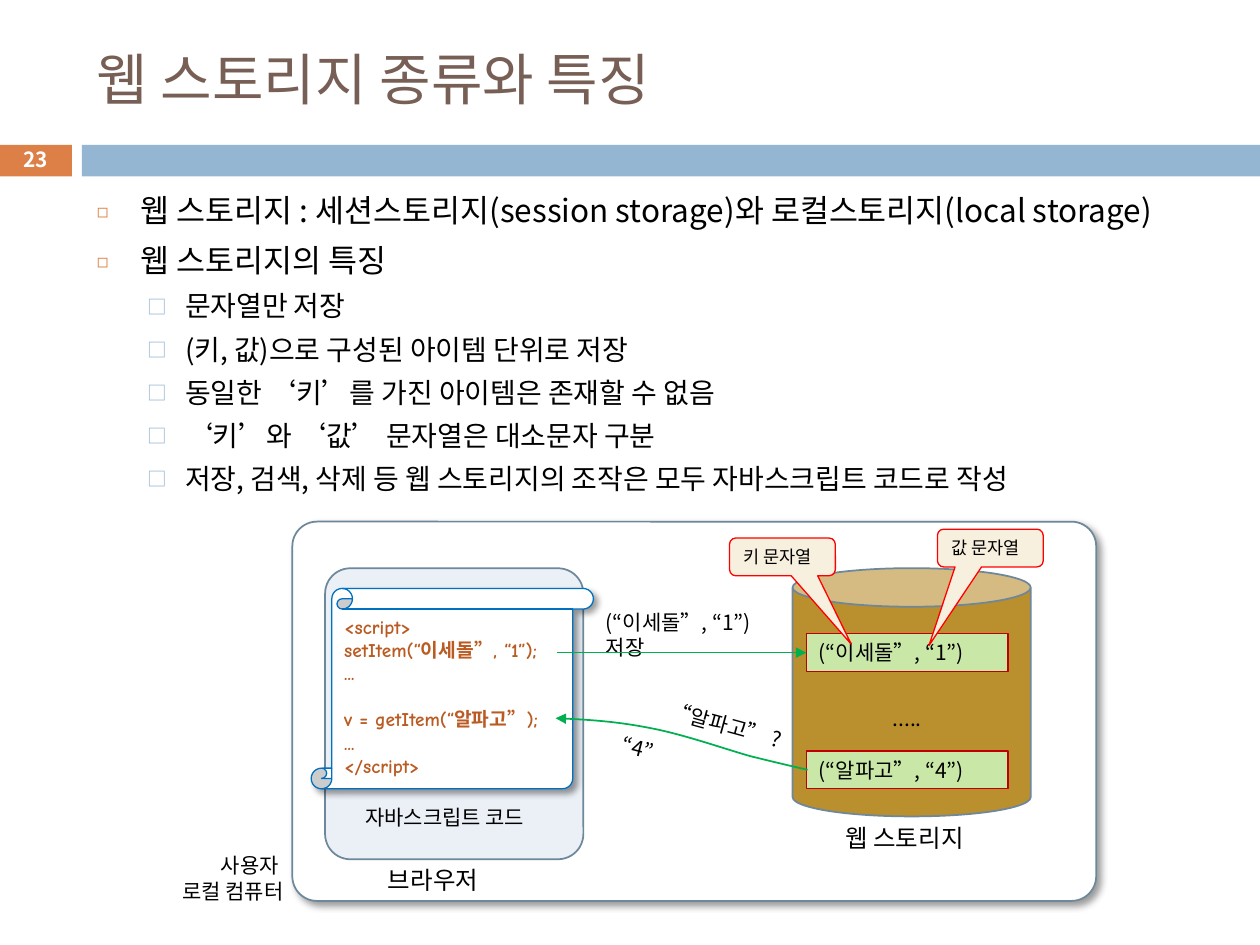
from lxml import etree
from pptx import Presentation
from pptx import util as u
from pptx.dml.color import RGBColor
from pptx.enum import shapes, text
from pptx.oxml.ns import qn

NOTO = "Noto Sans CJK KR"
COMIC = "Comic Neue"
BLACK, WHITE = "000000", "FFFFFF"
STEEL, GREEN = "6D879B", "00B050"
LINE_HEIGHT = 1.2
KIND = shapes.MSO_SHAPE
ALIGN = text.PP_ALIGN


def rgb(value):
    return RGBColor.from_string(value)


def sub(parent, tag, **attributes):
    return etree.SubElement(parent, qn(tag), attributes)


def place(box):
    return [u.Inches(value) for value in box]


# Text
def add_run(paragraph, content, size, color=BLACK, font=NOTO, bold=False):
    paragraph.line_spacing = u.Pt(size * LINE_HEIGHT)
    paragraph.font.size = u.Pt(size)
    if not content:
        return
    run = paragraph.add_run()
    run.text = content
    run.font.size = u.Pt(size)
    run.font.name = font
    run.font.bold = bold
    run.font.color.rgb = rgb(color)


def write(shape, lines, size, align=ALIGN.LEFT, wrap=True, middle=False, **style):
    frame = shape.text_frame
    frame.word_wrap = wrap
    anchor = text.MSO_ANCHOR
    frame.vertical_anchor = anchor.MIDDLE if middle else anchor.TOP
    for index, content in enumerate(lines):
        paragraph = frame.add_paragraph() if index else frame.paragraphs[0]
        paragraph.alignment = align
        add_run(paragraph, content, size, **style)


def add_label(slide, box, lines, size, rotation=0, **style):
    shape = slide.shapes.add_textbox(*place(box))
    shape.rotation = rotation
    write(shape, lines, size, **style)


def add_bullets(slide, box, items):
    # level: indent, hanging, space before, bullet, colour, bullet size, text size
    levels = [
        (0.35, 0.35, 7, "◻", "DD8047", "60000", 18),
        (0.7, 0.3, 5.5, "□", "94B6D2", "70000", 16),
    ]
    frame = slide.shapes.add_textbox(*place(box)).text_frame
    frame.word_wrap = True
    frame.margin_right = u.Inches(0.05)
    for index, (level, content) in enumerate(items):
        indent, hanging, before, bullet, color, scale, size = levels[level]
        paragraph = frame.add_paragraph() if index else frame.paragraphs[0]
        paragraph.level = level
        paragraph.space_before = u.Pt(before if index else 0)
        paragraph.line_spacing = u.Pt(size * LINE_HEIGHT)
        properties = paragraph._p.get_or_add_pPr()
        properties.set("marL", str(u.Inches(indent)))
        properties.set("indent", str(-u.Inches(hanging)))
        sub(sub(properties, "a:buClr"), "a:srgbClr", val=color)
        sub(properties, "a:buSzPct", val=scale)
        sub(properties, "a:buFont", typeface=NOTO)
        sub(properties, "a:buChar", char=bullet)
        add_run(paragraph, content, size)


# Shapes
def add_shadow(shape):
    effects = shape._element.spPr.find(qn("a:effectLst"))
    shadow = sub(effects, "a:outerShdw", blurRad=str(u.Pt(4)), dist=str(u.Pt(3)),
                 dir="2700000", algn="tl", rotWithShape="0")
    sub(sub(shadow, "a:srgbClr", val=BLACK), "a:alpha", val="40000")


def add_block(slide, kind, box, fill, line=None, width=0.75, adjust=(), shadow=False):
    shape = slide.shapes.add_shape(kind, *place(box))
    shape.shadow.inherit = False
    for index, value in enumerate(adjust):
        shape.adjustments[index] = value
    shape.fill.solid()
    shape.fill.fore_color.rgb = rgb(fill)
    if line:
        shape.line.color.rgb = rgb(line)
        shape.line.width = u.Pt(width)
    else:
        shape.line.fill.background()
    if shadow:
        add_shadow(shape)
    return shape


def add_callout(slide, box, content, pointer):
    shape = add_block(slide, KIND.ROUNDED_RECTANGULAR_CALLOUT, box, "F7F0DE",
                      "FF0000", adjust=(*pointer, 0.167))
    write(shape, [content], 10, wrap=False)


def add_item(slide, top, content):
    shape = add_block(slide, KIND.RECTANGLE, (6.4, top, 1.6, 0.3), "C9E7A7", "C00000")
    write(shape, [content], 12)
    return shape


# Arrows
def style_arrow(shape, end, width):
    shape.line.color.rgb = rgb(GREEN)
    shape.line.width = u.Pt(width)
    sub(shape.line._get_or_add_ln(), end, type="triangle")


def add_store_arrow(slide, target):
    arrow = slide.shapes.add_connector(
        shapes.MSO_CONNECTOR.STRAIGHT, *place((4.42, 5.18, 6.4, 5.18)))
    arrow.end_connect(target, 1)
    style_arrow(arrow, "a:tailEnd", 0.79)
    sub(arrow._element.spPr, "a:effectLst")


def add_curve(slide, points):
    """Draw cubic curves: a start point, then two handles and an end for each."""
    start, *others = [place(point) for point in points]
    builder = slide.shapes.build_freeform(*start)
    builder.add_line_segments(others, close=False)
    curve = builder.convert_to_shape()
    curve.shadow.inherit = False
    curve.fill.background()
    style_arrow(curve, "a:headEnd", 1)
    segments = list(curve._element.iter(qn("a:lnTo")))
    outline = segments[0].getparent()
    for first in range(0, len(segments), 3):
        cubic = sub(outline, "a:cubicBezTo")
        for segment in segments[first:first + 3]:
            cubic.append(segment[0])
            outline.remove(segment)


def main():
    presentation = Presentation()
    presentation.slide_width, presentation.slide_height = place((10, 7.5))
    slide = presentation.slides.add_slide(presentation.slide_layouts[6])

    # Header
    add_block(slide, KIND.RECTANGLE, (-0.01, 1.15, 0.58, 0.25), "DD8047")
    add_block(slide, KIND.RECTANGLE, (0.65, 1.15, 9.35, 0.25), "94B6D2")
    add_label(slide, (0.67, 0.25, 8.92, 0.74), ["웹 스토리지 종류와 특징"], 32,
              middle=True, color="775F55")
    add_label(slide, (-0.01, 1.13, 0.58, 0.27), ["23"], 11.9, align=ALIGN.CENTER,
              middle=True, color=WHITE, bold=True)

    # Local computer and storage
    add_block(slide, KIND.ROUNDED_RECTANGLE, (2.32, 4.14, 6.38, 3.01), WHITE, STEEL,
              1, (0.065,), shadow=True)
    add_block(slide, KIND.CAN, (6.29, 4.51, 1.89, 1.97), "BA8F2D", STEEL, 1, (0.162,))

    # Features
    add_bullets(slide, (0.67, 1.47, 8.92, 5.51), [
        (0, "웹 스토리지 : 세션스토리지(session storage)와 로컬스토리지(local storage)"),
        (0, "웹 스토리지의 특징"),
        (1, "문자열만 저장"),
        (1, "(키, 값)으로 구성된 아이템 단위로 저장"),
        (1, "동일한 ‘키’를 가진 아이템은 존재할 수 없음"),
        (1, "‘키’와 ‘값’ 문자열은 대소문자 구분"),
        (1, "저장, 검색, 삭제 등 웹 스토리지의 조작은 모두 자바스크립트 코드로 작성"),
    ])

    # Browser and its code
    add_block(slide, KIND.ROUNDED_RECTANGLE, (2.58, 4.51, 2.05, 2.31), "EAF0F6",
              STEEL, 1, (0.098,))
    scroll = add_block(slide, KIND.VERTICAL_SCROLL, (2.47, 4.67, 2.24, 1.59), WHITE,
                       "0070C0", adjust=(0.103,), shadow=True)
    write(scroll, ["<script>", "setItem(“이세돌”, “1”);", "...", "",
                   "v = getItem(“알파고”);", "...", "</script>"], 11,
          font=COMIC, color="B95B22", bold=True)

    # Stored items
    saved = add_item(slide, 5.03, "(“이세돌”, “1”)")
    add_item(slide, 5.96, "(“알파고”, “4”)")

    # Labels
    add_label(slide, (6.61, 6.48, 1.25, 0.34), ["웹 스토리지"], 14, wrap=False)
    add_label(slide, (2.98, 6.82, 0.99, 0.34), ["브라우저"], 14, wrap=False)
    add_label(slide, (1.25, 6.72, 1.1, 0.5), ["사용자 ", "로컬 컴퓨터"], 12,
              align=ALIGN.RIGHT, wrap=False)
    add_label(slide, (2.8, 6.34, 1.61, 0.3), ["자바스크립트 코드"], 12, wrap=False)
    add_label(slide, (4.71, 4.79, 1.65, 0.3), ["(“이세돌”, “1”) 저장"], 12)
    add_label(slide, (6.4, 5.55, 1.6, 0.3), ["....."], 12, align=ALIGN.CENTER)
    add_label(slide, (5.21, 5.6, 1.08, 0.3), ["“알파고” ?"], 12, rotation=15.3)
    add_label(slide, (4.84, 5.8, 0.56, 0.3), ["“4”"], 12, rotation=14.4)

    # Callouts and arrows
    add_curve(slide, [(4.41, 5.7),
                      (4.66, 5.71), (4.92, 5.73), (5.17, 5.78),
                      (5.43, 5.83), (5.74, 5.94), (5.95, 6),
                      (6.15, 6.05), (6.28, 6.08), (6.41, 6.11)])
    add_callout(slide, (5.79, 4.27, 0.84, 0.3), "키 문자열", (0.65, 2.31))
    add_callout(slide, (7.44, 4.2, 0.84, 0.3), "값 문자열", (-0.58, 2.58))
    add_store_arrow(slide, saved)

    presentation.save("out.pptx")


if __name__ == "__main__":
    main()
